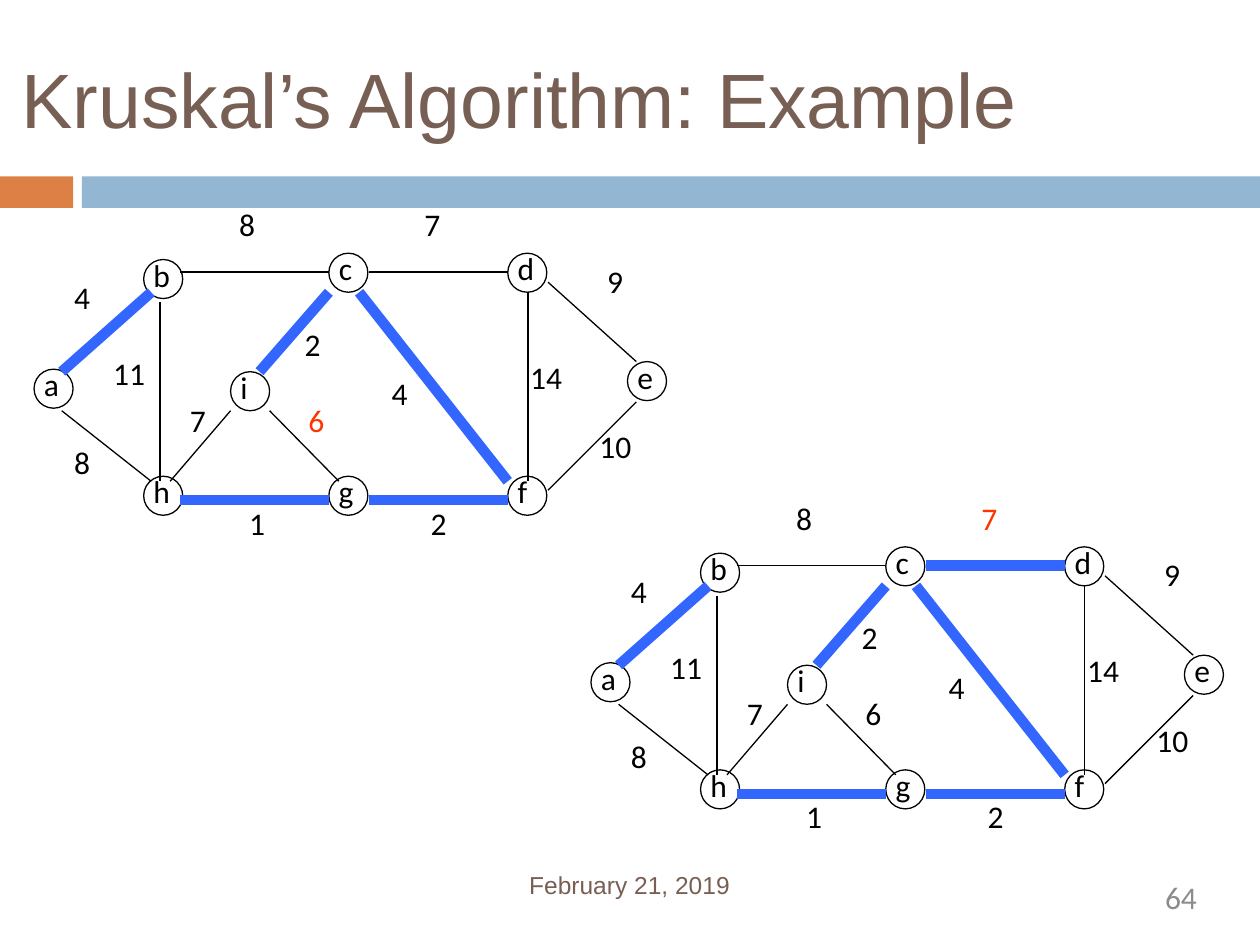
from lxml import etree
from pptx import Presentation
from pptx.dml.color import RGBColor
from pptx.enum.shapes import MSO_CONNECTOR, MSO_SHAPE
from pptx.enum.text import MSO_ANCHOR, MSO_AUTO_SIZE, PP_ALIGN
from pptx.oxml.ns import qn
from pptx.util import Inches, Pt

LEFT, RIGHT = PP_ALIGN.LEFT, PP_ALIGN.RIGHT
TOP, BOTTOM = MSO_ANCHOR.TOP, MSO_ANCHOR.BOTTOM
NO_FIT = MSO_AUTO_SIZE.NONE
STRAIGHT = MSO_CONNECTOR.STRAIGHT
OVAL, RECTANGLE = MSO_SHAPE.OVAL, MSO_SHAPE.RECTANGLE

NODE_SIZE = 0.31
NODES = {
    "a": (0.27, 2.93, 0.32), "b": (1.14, 2.06, 0.34), "h": (1.14, 3.78, 0.34),
    "c": (2.61, 2.01, 0.32), "d": (4.03, 2.01, 0.34), "e": (4.98, 2.87, 0.32),
    "f": (4.03, 3.78, 0.29), "g": (2.61, 3.78, 0.34), "i": (1.83, 2.95, 0.28),
}
EDGES = {
    "ab": (0.49, 2.95, 1.2, 2.32), "ah": (0.49, 3.26, 1.2, 3.82),
    "bh": (1.27, 2.4, 1.27, 3.82), "bc": (1.43, 2.16, 2.61, 2.16),
    "hg": (1.43, 3.97, 2.61, 3.97), "gf": (2.93, 3.97, 4.03, 3.97),
    "cf": (2.85, 2.32, 4.03, 3.82), "cd": (2.93, 2.16, 4.03, 2.16),
    "df": (4.19, 2.32, 4.19, 3.82), "de": (4.35, 2.24, 5.05, 2.87),
    "ef": (4.35, 3.89, 5.05, 3.19), "ig": (2.14, 3.26, 2.69, 3.82),
    "hi": (1.35, 3.82, 1.83, 3.26), "ic": (2.06, 2.95, 2.61, 2.32),
}
WEIGHTS = {
    "ab": ("4", 0.49, 2.16), "bc": ("8", 1.8, 1.58), "cd": ("7", 3.27, 1.58),
    "de": ("9", 4.72, 2.03), "ef": ("10", 4.66, 3.34), "df": ("14", 4.11, 2.79),
    "cf": ("4", 3.01, 2.92), "ic": ("2", 2.32, 2.53), "gf": ("2", 3.32, 3.95),
    "ig": ("6", 2.35, 3.13), "hg": ("1", 1.88, 3.95), "hi": ("7", 1.41, 3.13),
    "bh": ("11", 0.8, 2.76), "ah": ("8", 0.49, 3.47),
}
TREE = {"ab", "ic", "cf", "hg", "gf"}


def color(value):
    return RGBColor.from_string(value)


def write(frame, text, font="Calibri", size=18, fill="000000", align=LEFT,
          anchor=TOP, margins=(0.1, 0.05), wrap=True, spacing=None):
    frame.auto_size = NO_FIT
    frame.word_wrap = wrap
    frame.vertical_anchor = anchor
    frame.margin_left = frame.margin_right = Inches(margins[0])
    frame.margin_top = frame.margin_bottom = Inches(margins[1])
    para = frame.paragraphs[0]
    para.alignment = align
    if spacing:
        para.line_spacing = Pt(spacing)
    span = para.add_run()
    span.text = text
    span.font.name = font
    span.font.size = Pt(size)
    span.font.color.rgb = color(fill)


class Slide:
    ink = "000000"
    brown = "775F54"
    tree = "3366FF"
    current = "FF3300"

    def __init__(self, deck):
        self.page = deck.slides.add_slide(deck.slide_layouts[5])
        self.shapes = self.page.shapes

    def title(self, text, left, top, width, height):
        box = self.shapes.title
        box.left, box.top = Inches(left), Inches(top)
        box.width, box.height = Inches(width), Inches(height)
        write(box.text_frame, text, font="Arial", size=44, fill=self.brown,
              anchor=BOTTOM, margins=(0, 0))

    def text(self, text, left, top, width, height, **style):
        box = self.shapes.add_textbox(
            Inches(left), Inches(top), Inches(width), Inches(height))
        write(box.text_frame, text, **style)

    def band(self, left, width, fill):
        bar = self.shapes.add_shape(
            RECTANGLE, Inches(left), Inches(1.4), Inches(width), Inches(0.25))
        bar.shadow.inherit = False
        bar.fill.solid()
        bar.fill.fore_color.rgb = color(fill)
        bar.line.fill.background()

    def node(self, name, left, top, width):
        self.text(name, left - 0.02, top - 0.08, width, 0.43, wrap=False)
        circle = self.shapes.add_shape(
            OVAL, Inches(left), Inches(top), Inches(NODE_SIZE), Inches(NODE_SIZE))
        circle.shadow.inherit = False
        circle.fill.background()
        circle.line.color.rgb = color(self.ink)
        circle.line.width = Pt(0.75)

    def edge(self, x1, y1, x2, y2, chosen):
        line = self.shapes.add_connector(
            STRAIGHT, Inches(x1), Inches(y1), Inches(x2), Inches(y2))
        line.line.color.rgb = color(self.tree if chosen else self.ink)
        line.line.width = Pt(6 if chosen else 0.75)
        etree.SubElement(line._element.spPr, qn("a:effectLst"))

    def weight(self, value, left, top, active):
        width = 0.37 if len(value) == 1 else 0.53
        self.text(value, left, top, width, 0.5, wrap=False,
                  fill=self.current if active else self.ink)

    def graph(self, dx, dy, tree, active):
        for name, (left, top, width) in NODES.items():
            self.node(name, left + dx, top + dy, width)
        for name, (x1, y1, x2, y2) in EDGES.items():
            self.edge(x1 + dx, y1 + dy, x2 + dx, y2 + dy, name in tree)
        for name, (value, left, top) in WEIGHTS.items():
            self.weight(value, left + dx, top + dy, name == active)


def main():
    deck = Presentation()
    deck.slide_width, deck.slide_height = Inches(10), Inches(7.5)
    slide = Slide(deck)
    slide.band(0, 0.58, "DD8046")
    slide.band(0.65, 9.35, "93B6D2")
    slide.title("Kruskal’s Algorithm: Example", 0.17, 0.38, 9.14, 0.76)
    slide.text("February 21, 2019", 4.2, 6.92, 2.31, 0.24, font="Arial", size=14,
               fill=slide.brown, margins=(0, 0), spacing=15.8)
    slide.text("64", 7.2, 6.97, 2.3, 0.38, fill="8C8C8C", align=RIGHT,
               margins=(0, 0))
    slide.graph(4.42, 2.33, TREE | {"cd"}, "cd")
    slide.graph(0, 0, TREE, "ig")
    deck.save("out.pptx")


if __name__ == "__main__":
    main()
